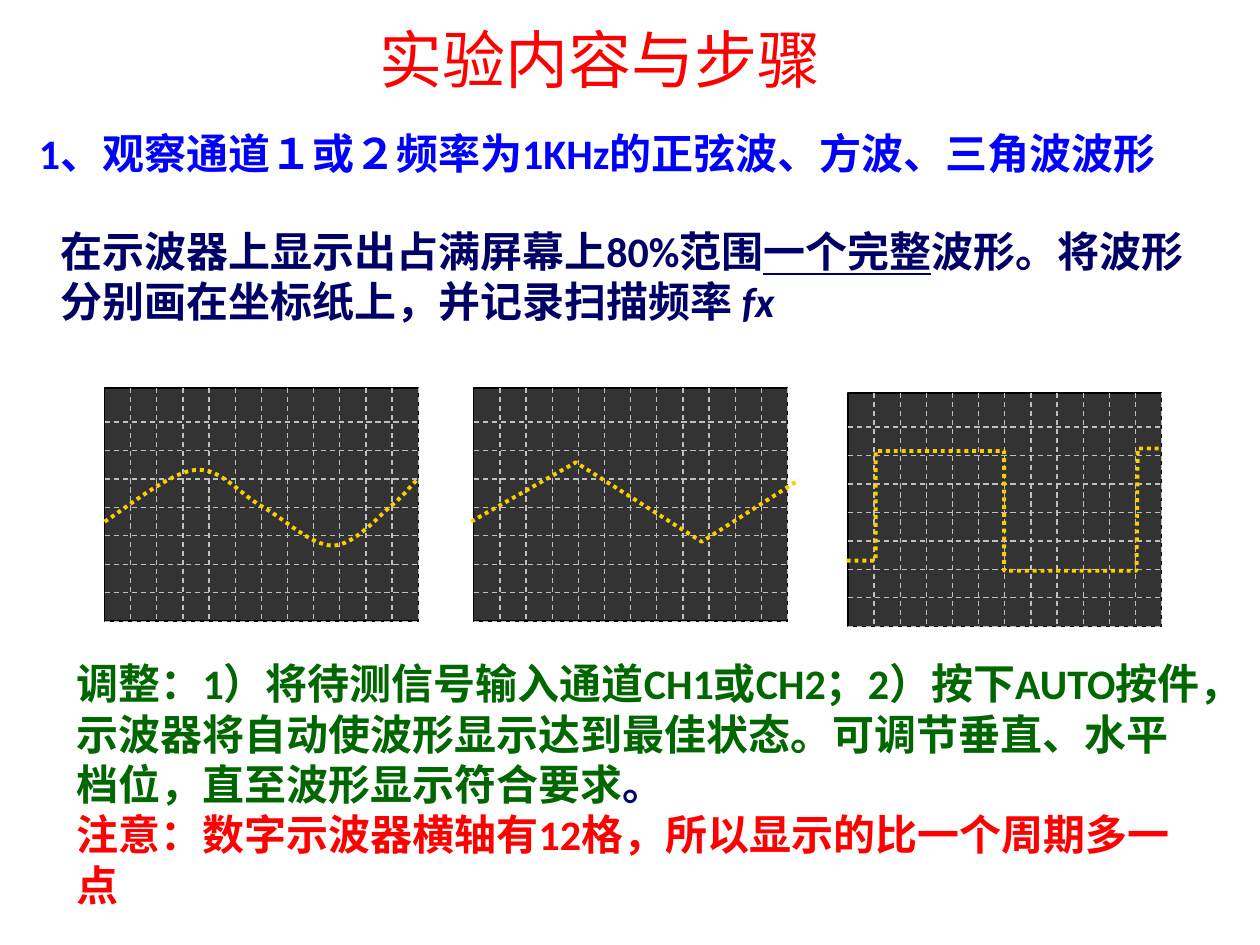
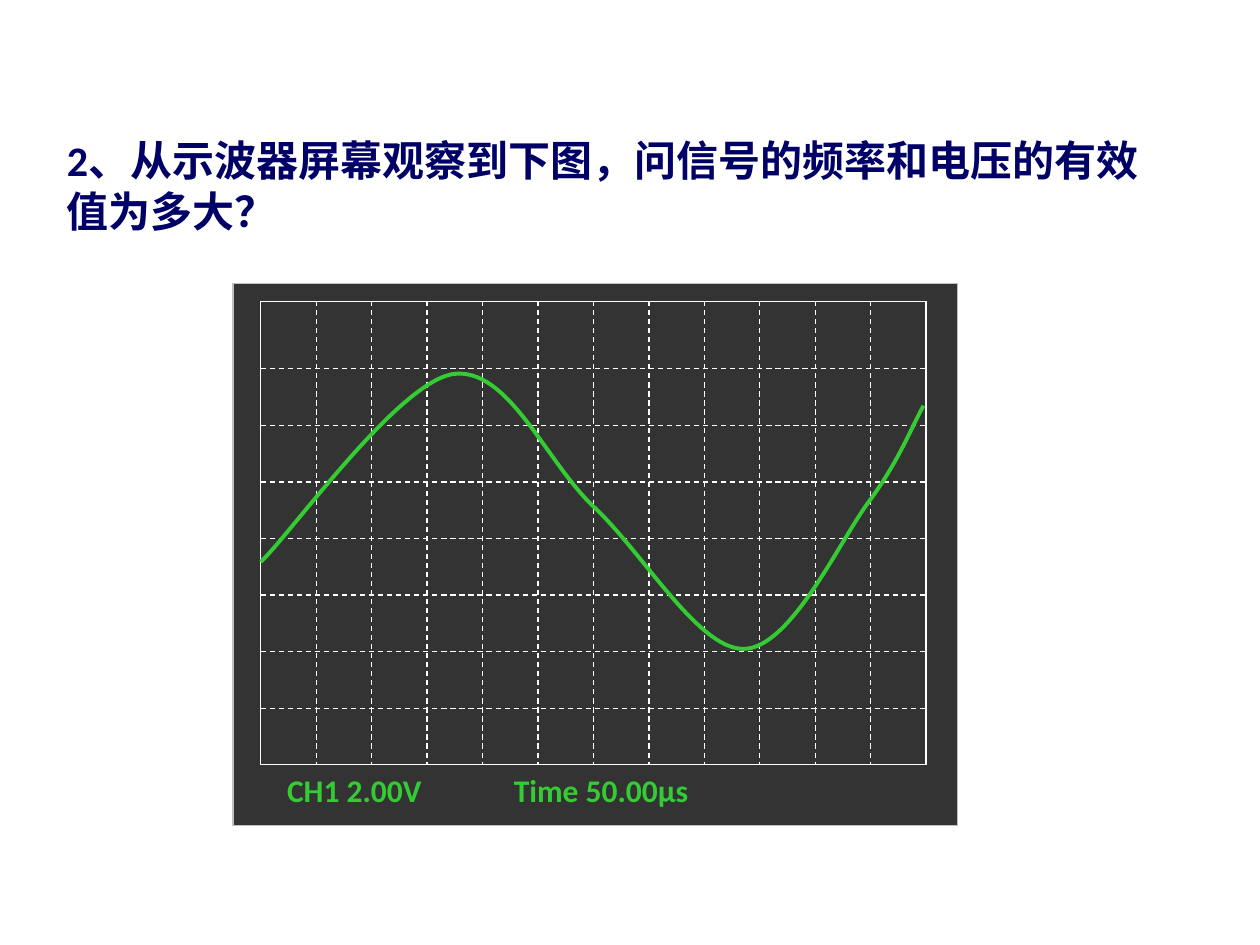
from lxml.etree import SubElement
from pptx import Presentation
from pptx.dml.color import RGBColor
from pptx.enum.dml import MSO_LINE as Dash
from pptx.enum.shapes import MSO_CONNECTOR as Connector, MSO_SHAPE as Preset
from pptx.enum.text import MSO_ANCHOR as Anchor, MSO_AUTO_SIZE as AutoSize, PP_ALIGN as Align
from pptx.oxml.ns import qn
from pptx.util import Pt

PX = 9144
TITLE_ONLY = 5
COLUMNS, ROWS = 12, 8
ROW_SHARE = 0.122

RED, BLUE, NAVY, GREEN = "FF0000", "0000FF", "000066", "006600"
SCREEN, BLACK, SILVER, WHITE = "333333", "000000", "C0C0C0", "FFFFFF"
AMBER, LIME = "FFCC00", "33CC33"

HEADING = {"size": Pt(36), "bold": False}
BODY = {"size": Pt(24), "bold": True}
READOUT = {"size": Pt(18), "bold": True}
GRID_LINE = {"width": Pt(0.75), "dash_style": Dash.DASH}
EDGE = {"width": Pt(0.75)}
DOTTED_TRACE = {"width": Pt(2.25), "dash_style": Dash.ROUND_DOT}
SOLID_TRACE = {"width": Pt(2.25)}

SINE = [(83, 414), (95, 407), (134, 375), (155, 373), (175, 371), (190, 392), (208, 402),
        (226, 412), (247, 433), (264, 433), (281, 433), (300, 410), (311, 401),
        (322, 392), (327, 384), (332, 380)]
TRIANGLE = [(374, 414), (457, 367), (557, 430), (634, 381)]
SQUARE = [(672, 445), (695, 445), (695, 358), (797, 358), (797, 453), (902, 453),
          (903, 356), (922, 356)]
MEASURED = [(207, 446), (232, 422), (315, 305), (359, 297), (403, 290), (433, 366), (471, 402),
            (510, 438), (554, 515), (590, 515), (627, 515), (665, 432), (689, 399),
            (713, 367), (724, 338), (733, 322)]


def color(code):
    """Turn a hex string into a colour."""
    return RGBColor.from_string(code)


def apply(target, formats):
    """Set every attribute in formats on target."""
    for key, value in formats.items():
        setattr(target, key, value)


def scaled(*lengths):
    """Turn px into EMU."""
    return [round(length * PX) for length in lengths]


def place(holder, box):
    """Move a shape to its left, top, width and height."""
    apply(holder, dict(zip(("left", "top", "width", "height"), scaled(*box))))


def write(holder, paragraphs, formats, wrap=True, anchor=Anchor.TOP):
    """Fill a text holder with paragraphs of (text, colour, extra formats) runs."""
    frame = holder.text_frame
    apply(frame, {"word_wrap": wrap, "auto_size": AutoSize.SHAPE_TO_FIT_TEXT,
                  "vertical_anchor": anchor})
    for index, runs in enumerate(paragraphs):
        paragraph = frame.add_paragraph() if index else frame.paragraphs[0]
        paragraph.alignment = Align.LEFT
        for text, ink, extra in runs:
            run = paragraph.add_run()
            run.text = text
            apply(run.font, {"name": "Calibri", **formats, **extra})
            run.font.color.rgb = color(ink)


def title(slide, box, text, ink, formats, wrap=True):
    """Place and format the slide title."""
    holder = slide.shapes.title
    place(holder, box)
    write(holder, [[(text, ink, {})]], formats, wrap)


def text_box(shapes, box, paragraphs, formats, anchor=Anchor.TOP):
    """Add a text box and return it."""
    holder = shapes.add_textbox(*scaled(*box))
    write(holder, paragraphs, formats, anchor=anchor)
    return holder


def stroke(item, ink, formats):
    """Set the line of a shape or connector."""
    item.line.color.rgb = color(ink)
    apply(item.line, formats)


def panel(shapes, box, edge):
    """Add a dark rectangle."""
    rectangle = shapes.add_shape(Preset.RECTANGLE, *scaled(*box))
    rectangle.shadow.inherit = False
    rectangle.fill.solid()
    rectangle.fill.fore_color.rgb = color(SCREEN)
    stroke(rectangle, edge, EDGE)


def grid_line(shapes, ends, ink):
    """Add one dashed grid line."""
    line = shapes.add_connector(Connector.STRAIGHT, *scaled(*ends))
    stroke(line, ink, GRID_LINE)
    SubElement(line._element.spPr, qn("a:effectLst"))


def screen(shapes, box, edge, grid):
    """Add an oscilloscope screen whose top row is a little taller."""
    left, top, width, height = box
    right, bottom = left + width, top + height
    panel(shapes, box, edge)
    for column in range(1, COLUMNS + 1):
        x = left + width * column / COLUMNS
        grid_line(shapes, (x, top, x, bottom), grid)
    for row in range(ROWS):
        y = bottom - height * ROW_SHARE * row
        grid_line(shapes, (left, y, right, y), grid)


def trace(shapes, points, ink, formats, curved=False):
    """Draw a waveform; curved points are Bezier triples after the start."""
    builder = shapes.build_freeform(*points[0], scale=PX)
    builder.add_line_segments(points[1:], close=False)
    wave = builder.convert_to_shape()
    wave.shadow.inherit = False
    wave.fill.background()
    stroke(wave, ink, formats)
    if curved:
        bend(wave)


def bend(wave):
    """Turn each three straight segments into one cubic curve."""
    segments = wave._element.xpath(".//a:lnTo")
    outline = segments[0].getparent()
    for start in range(0, len(segments), 3):
        curve = SubElement(outline, qn("a:cubicBezTo"))
        for segment in segments[start:start + 3]:
            curve.append(segment[0])
            outline.remove(segment)


def tab_stop(holder, position):
    """Set a left tab stop in the first paragraph."""
    properties = holder.text_frame.paragraphs[0]._p.get_or_add_pPr()
    stops = SubElement(properties, qn("a:tabLst"))
    SubElement(stops, qn("a:tab"), pos=str(position * PX), algn="l")


def steps_slide(slide):
    """Build the slide on the three waveforms."""
    title(slide, (291, 11, 375, 71), "实验内容与步骤", RED, HEADING, wrap=False)
    text_box(slide.shapes, (21, 96, 951, 50),
             [[("1、观察通道１或２频率为1KHz的正弦波、方波、三角波波形", BLUE, {})]],
             BODY, Anchor.MIDDLE)
    text_box(slide.shapes, (38, 174, 919, 91), [[
        ("在示波器上显示出占满屏幕上80%范围", NAVY, {}),
        ("一个完整", NAVY, {"underline": True}),
        ("波形。将波形分别画在坐标纸上，并记录扫描频率 ", NAVY, {}),
        ("fx", NAVY, {"italic": True})]], BODY)
    for left, top, wave, curved in ((83, 308, SINE, True), (376, 308, TRIANGLE, False),
                                    (673, 312, SQUARE, False)):
        scope = slide.shapes.add_group_shape().shapes
        screen(scope, (left, top, 249, 185), BLACK, SILVER)
        trace(scope, wave, AMBER, DOTTED_TRACE, curved)
    text_box(slide.shapes, (51, 517, 919, 212), [
        [("调整：1）将待测信号输入通道CH1或CH2；2）按下AUTO按件，示波器将自动使波形显示"
          "达到最佳状态。可调节垂直、水平档位，直至波形显示符合要求", GREEN, {}),
         ("。", NAVY, {})],
        [("注意：数字示波器横轴有12格，所以显示的比一个周期多一点", RED, {})]], BODY)


def question_slide(slide):
    """Build the slide on reading frequency and voltage."""
    title(slide, (43, 102, 886, 91),
          "2、从示波器屏幕观察到下图，问信号的频率和电压的有效值为多大？", NAVY, BODY)
    scope = slide.shapes.add_group_shape().shapes
    panel(scope, (185, 225, 575, 430), SILVER)
    screen(scope, (207, 239, 528, 368), WHITE, WHITE)
    trace(scope, MEASURED, LIME, SOLID_TRACE, curved=True)
    readout = text_box(scope, (218, 607, 474, 43),
                       [[("CH1 2.00V\tTime 50.00μs", LIME, {})]], READOUT)
    tab_stop(readout, 180)


def main():
    """Build and save the slides."""
    deck = Presentation()
    deck.slide_width, deck.slide_height = scaled(1000, 750)
    for build in (steps_slide, question_slide):
        build(deck.slides.add_slide(deck.slide_layouts[TITLE_ONLY]))
    deck.save("out.pptx")


if __name__ == "__main__":
    main()
